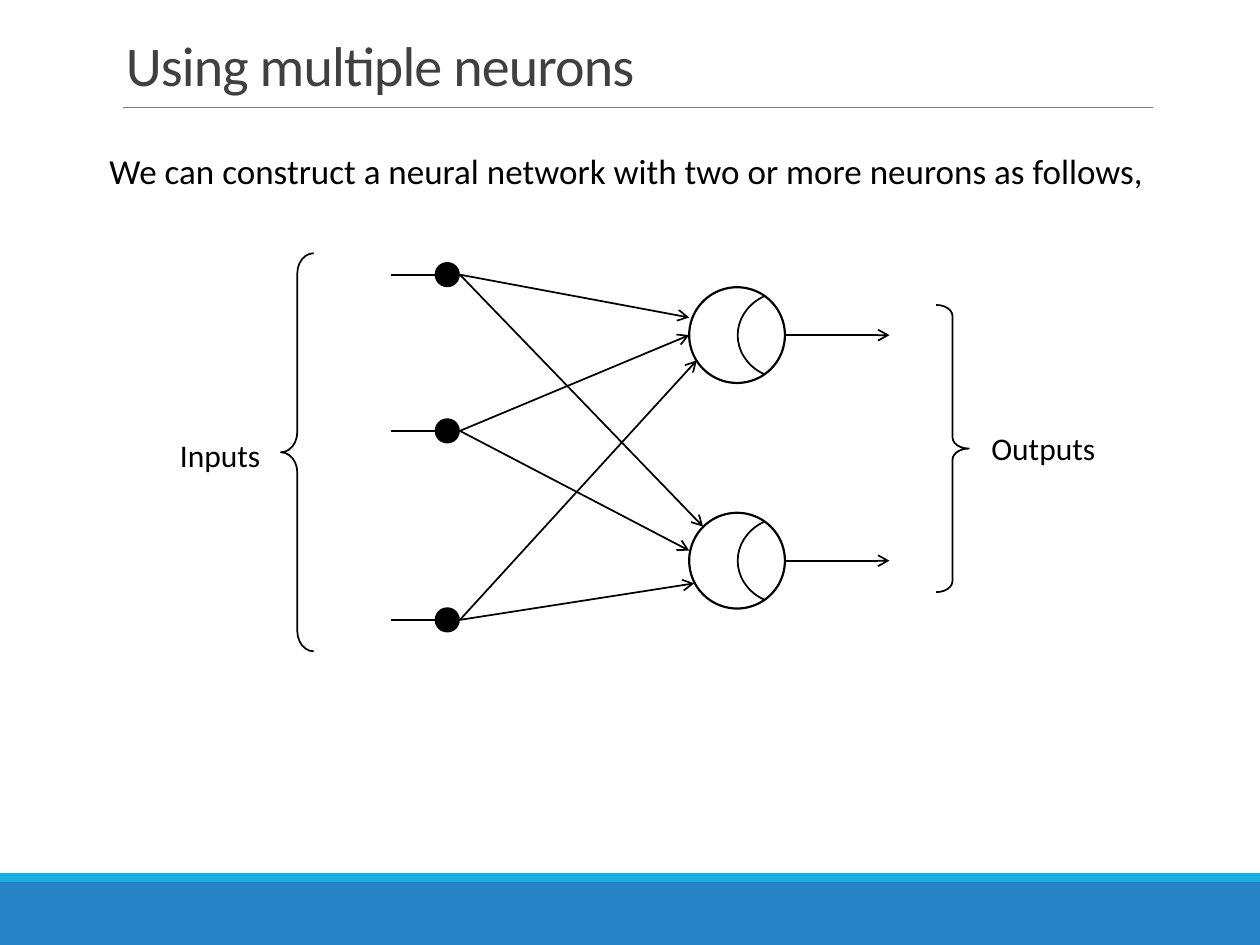
from lxml import etree
from pptx import Presentation
from pptx.dml.color import RGBColor
from pptx.enum.shapes import MSO_CONNECTOR, MSO_SHAPE
from pptx.enum.text import MSO_ANCHOR, MSO_AUTO_SIZE
from pptx.oxml.ns import qn
from pptx.util import Inches, Pt

RECT, OVAL, ARC = MSO_SHAPE.RECTANGLE, MSO_SHAPE.OVAL, MSO_SHAPE.ARC
LEFT_BRACE, RIGHT_BRACE = MSO_SHAPE.LEFT_BRACE, MSO_SHAPE.RIGHT_BRACE
STRAIGHT = MSO_CONNECTOR.STRAIGHT
BOTTOM, TOP = MSO_ANCHOR.BOTTOM, MSO_ANCHOR.TOP
FIT, FIXED = MSO_AUTO_SIZE.SHAPE_TO_FIT_TEXT, MSO_AUTO_SIZE.NONE

BLACK = RGBColor(0x00, 0x00, 0x00)
DARK = RGBColor(0x40, 0x40, 0x40)
GRAY = RGBColor(0x80, 0x80, 0x80)
BLUE = RGBColor(0x26, 0x83, 0xC6)
CYAN = RGBColor(0x1C, 0xAD, 0xE4)

COLS, ROWS = 100, 75
WIDTH, HEIGHT = Inches(10), Inches(7.5)


def place(box, x, y):
    """Turn columns and rows within a box into a slide position."""
    return round((box[0] + x) * WIDTH / COLS), round((box[1] + y) * HEIGHT / ROWS)


def add_shape(s, kind, box, x, y, w, h, fill=None, line=None, adj=()):
    """Add a preset shape with a fill colour and a line width."""
    sp = s.shapes.add_shape(kind, *place(box, x, y), *place((0, 0), w, h))
    sp.shadow.inherit = False
    if fill is None:
        sp.fill.background()
    else:
        sp.fill.solid()
        sp.fill.fore_color.rgb = fill
    if line is None:
        sp.line.fill.background()
    else:
        sp.line.color.rgb = BLACK
        sp.line.width = Pt(line)
    for i, value in enumerate(adj):
        sp.adjustments[i] = value
    return sp


def add_line(s, box, start, end, arrow=False, color=BLACK, width=1):
    """Add a straight connector, with an arrowhead at its end if asked."""
    cn = s.shapes.add_connector(STRAIGHT, *place(box, *start), *place(box, *end))
    cn.line.color.rgb = color
    cn.line.width = Pt(width)
    if arrow:
        etree.SubElement(cn.line._get_or_add_ln(), qn("a:tailEnd"), type="arrow")
    etree.SubElement(cn._element.spPr, qn("a:effectLst"))


def add_text(s, box, x, y, w, h, text, size, color=BLACK, title=False):
    """Add one line of text, either as a title or as a label."""
    tf = s.shapes.add_textbox(*place(box, x, y), *place((0, 0), w, h)).text_frame
    frame = {"word_wrap": title, "auto_size": FIXED if title else FIT,
             "vertical_anchor": BOTTOM if title else TOP}
    for name, value in frame.items():
        setattr(tf, name, value)
    p = tf.paragraphs[0]
    r = p.add_run()
    r.text = text
    for name, value in {"name": "Calibri", "size": Pt(size)}.items():
        setattr(r.font, name, value)
    r.font.color.rgb = color
    if title:
        p.line_spacing = 0.85
        r.font._element.set("spc", "-50")


def add_footer(s, box):
    """Draw the two footer bands."""
    add_shape(s, RECT, box, 0, 0.7, COLS, 5, BLUE)
    add_shape(s, RECT, box, 0, 0, COLS, 0.7, CYAN)


def add_heading(s, box):
    """Write the title, its rule and the sentence below."""
    add_line(s, box, (2.1, 6.7), (83.8, 6.7), color=GRAY, width=0.5)
    add_text(s, box, 1.3, 0, 82.5, 6.5, "Using multiple neurons", 32, DARK, True)
    add_text(s, box, 0, 9.6, 85.4, 4.4,
             "We can construct a neural network with two or more neurons as follows,", 20)


def add_neuron(s, box, sources, targets):
    """Draw one neuron with its incoming links and its output."""
    size, mid = 7.6, 3.8
    add_shape(s, OVAL, box, 0, 0, size, size, line=1.25)
    arc = add_shape(s, ARC, box, 4.2, 0, 6.9, size, line=1, adj=(125.34, 199.08))
    arc.rotation = 270
    for source, target in zip(sources, targets):
        add_line(s, box, source, target, arrow=True)
    add_line(s, box, (size, mid), (15.9, mid), arrow=True)


def add_network(s, box):
    """Draw the inputs, the neurons, the braces and their labels."""
    stub, dot, size = 17.7, 21.2, 2
    inputs = (1.7, 14.1, 29.1)
    for y in inputs:
        add_shape(s, OVAL, box, dot, y - size / 2, size, size, BLACK)
        add_line(s, box, (stub, y), (dot, y))
    left = 41.4
    neurons = {2.7: ((0, 2.4), (0, 3.8), (0.6, 5.8)),
               20.6: ((1.1, 1.1), (0, 3), (0.4, 5.6))}
    for top, targets in neurons.items():
        sources = [(dot + size - left, y - top) for y in inputs]
        add_neuron(s, (box[0] + left, box[1] + top), sources, targets)
    add_shape(s, LEFT_BRACE, box, 9, 0, 2.6, 31.6, line=1, adj=(0.62, 0.5))
    add_shape(s, RIGHT_BRACE, box, 61, 4.1, 2.6, 22.8, line=1, adj=(0.34, 0.5))
    add_text(s, box, 0, 14, 8.5, 4, "Inputs", 18)
    add_text(s, box, 64.4, 13.5, 10.3, 4, "Outputs", 18)


def main():
    """Build and save the slide."""
    prs = Presentation()
    prs.slide_width, prs.slide_height = WIDTH, HEIGHT
    s = prs.slides.add_slide(prs.slide_layouts[6])
    add_footer(s, (0, 69.3))
    add_heading(s, (7.7, 1.8))
    add_network(s, (13.3, 20.1))
    prs.save("out.pptx")


if __name__ == "__main__":
    main()
